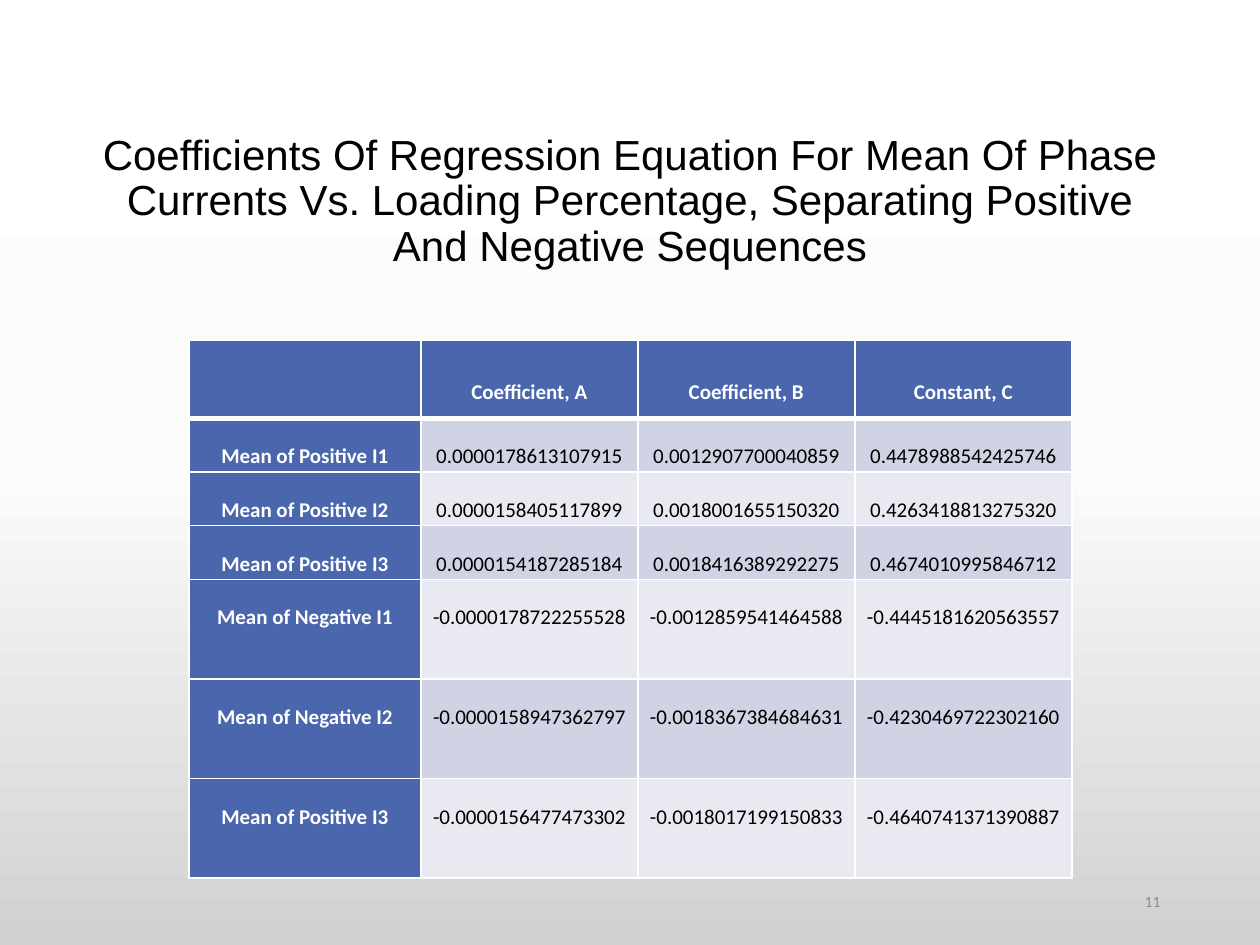
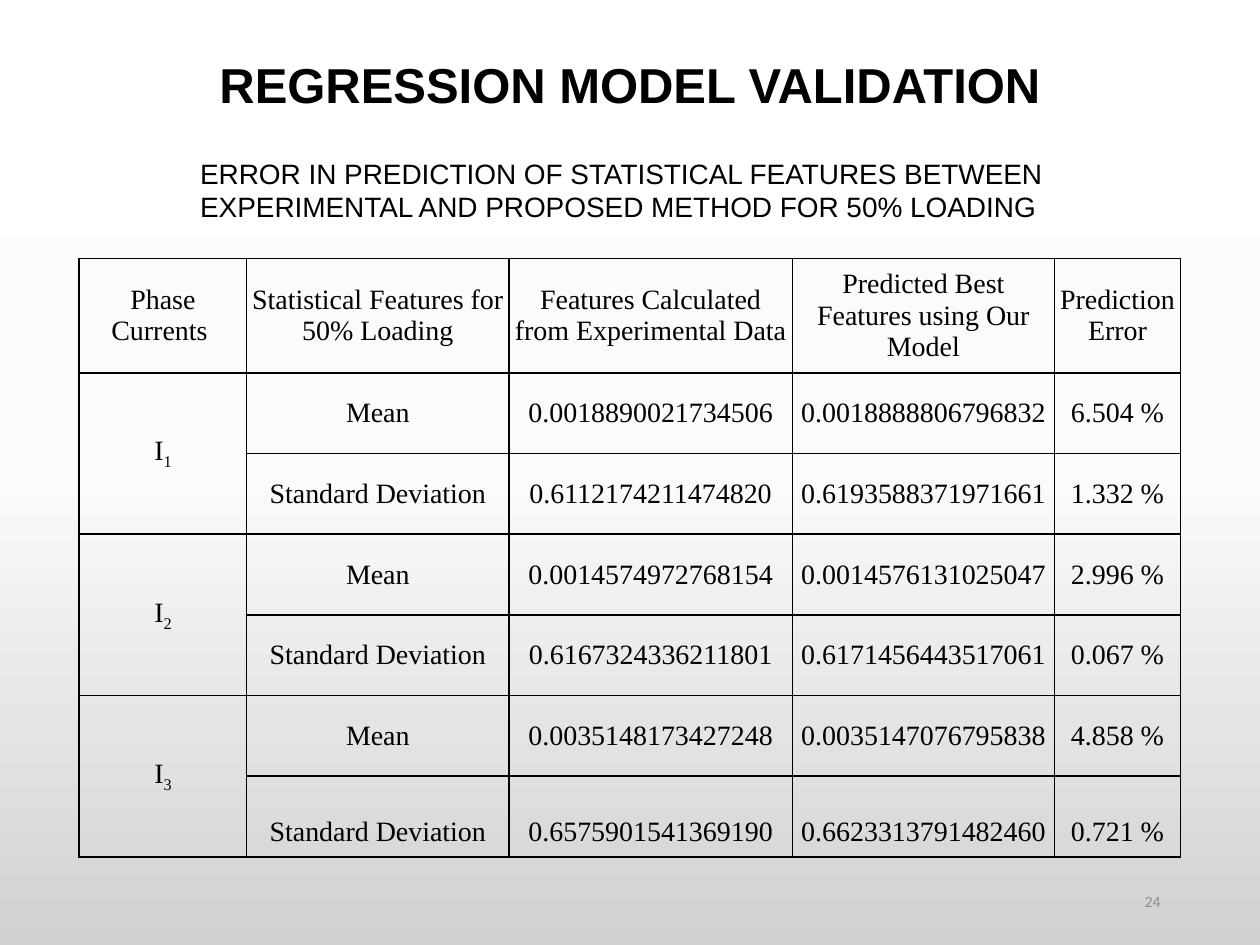
"""Build two slides of regression tables on a shared grey gradient."""
import copy

import pptx
import pptx.dml.color
import pptx.enum.text
import pptx.oxml
import pptx.oxml.ns
import pptx.util

Pt = pptx.util.Pt
ALIGN = pptx.enum.text.PP_ALIGN
ANCHOR = pptx.enum.text.MSO_ANCHOR

BLUE, WHITE, BLACK, GREY = "4A66AC", "FFFFFF", "000000", "8C8C8C"
BANDS = "D0D3E3", "E9EAF1"
STOPS = (0, "FFFFFF"), (0.5, "FBFBFB"), (1, "D1D1D1")
PAGE = 508.3, 500.4, 162, 28.8

COEFS = {
    "title": "Coefficients Of Regression Equation For Mean Of Phase Currents Vs. "
             "Loading Percentage, Separating Positive And Negative Sequences",
    "top": 63.4, "font": {"size": 24, "bold": False}, "page": "11",
    "place": (108, 194.4),
    "cols": [132.5] + [124] * 3,
    "heights": [44.6] + [30.7] * 3 + [56.9] * 3,
    "rows": [
        ("", "Coefficient, A", "Coefficient, B", "Constant, C"),
        ("Mean of Positive I1", "0.0000178613107915", "0.0012907700040859", "0.4478988542425746"),
        ("Mean of Positive I2", "0.0000158405117899", "0.0018001655150320", "0.4263418813275320"),
        ("Mean of Positive I3", "0.0000154187285184", "0.0018416389292275", "0.4674010995846712"),
        ("Mean of Negative I1", "-0.0000178722255528", "-0.0012859541464588", "-0.4445181620563557"),
        ("Mean of Negative I2", "-0.0000158947362797", "-0.0018367384684631", "-0.4230469722302160"),
        ("Mean of Positive I3", "-0.0000156477473302", "-0.0018017199150833", "-0.4640741371390887"),
    ],
}
ERRORS = {
    "title": "REGRESSION MODEL VALIDATION",
    "top": -2.2, "font": {"size": 28, "bold": True}, "page": "24",
    "place": (45.2, 147.6),
    "cols": [95.8, 149.8, 162, 149.8, 72],
    "heights": [65.5] + [46.1] * 6,
    "rows": [
        ("Phase Currents ", "Statistical Features for 50% Loading",
         "Features Calculated from Experimental Data",
         "Predicted Best Features using Our Model", "Prediction Error"),
        ("I1", "Mean", "0.0018890021734506", "0.0018888806796832", "6.504 %"),
        ("", "Standard Deviation", "0.6112174211474820", "0.6193588371971661", "1.332 %"),
        ("I2", "Mean", "0.0014574972768154", "0.0014576131025047", "2.996 %"),
        ("", "Standard Deviation", "0.6167324336211801", "0.6171456443517061", "0.067 %"),
        ("I3", "Mean", "0.0035148173427248", "0.0035147076795838", "4.858 %"),
        ("", "Standard Deviation", "0.6575901541369190", "0.6623313791482460", "0.721 %"),
    ],
}
NOTE = ("ERROR IN PREDICTION OF STATISTICAL FEATURES BETWEEN",
        "EXPERIMENTAL AND PROPOSED METHOD FOR 50% LOADING")


def tint(code):
    return pptx.dml.color.RGBColor.from_string(code)


def apply(item, values):
    for name, value in values.items():
        setattr(item, name, value)


def write(para, text, font, align=ALIGN.CENTER, space=None):
    run = para.add_run()
    run.text = text
    look = {"name": "Arial", "bold": False, "color": BLACK, **font}
    run.font.color.rgb = tint(look.pop("color"))
    apply(run.font, {**look, "size": Pt(look["size"])})
    apply(para, {"alignment": align, "line_spacing": space})
    return run


def paint(master):
    fill = master.background.fill
    fill.gradient()
    fill.gradient_angle = 270
    stops = master.element.find(".//" + pptx.oxml.ns.qn("a:gsLst"))
    stops.insert(1, copy.deepcopy(stops[0]))
    for stop, (place, code) in zip(fill.gradient_stops, STOPS):
        stop.color.rgb = tint(code)
        stop.position = place


def add_box(slide, spot, lines, font, align, anchor):
    frame = slide.shapes.add_textbox(*map(Pt, spot)).text_frame
    apply(frame, {"word_wrap": True, "vertical_anchor": anchor})
    for pos, line in enumerate(lines):
        para = frame.add_paragraph() if pos else frame.paragraphs[0]
        write(para, line, font, align)


def start(deck, data):
    slide = deck.slides.add_slide(deck.slide_layouts[5])
    title = slide.shapes.title
    apply(title, {"left": Pt(49.7), "top": Pt(data["top"]),
                  "width": Pt(620.6), "height": Pt(104.4)})
    apply(title.text_frame, {"vertical_anchor": ANCHOR.MIDDLE, "word_wrap": True,
                             "auto_size": pptx.enum.text.MSO_AUTO_SIZE.NONE})
    write(title.text_frame.paragraphs[0], data["title"], data["font"], space=0.9)
    add_box(slide, PAGE, [data["page"]], {"size": 9, "name": "Calibri", "color": GREY},
            ALIGN.RIGHT, ANCHOR.MIDDLE)
    return slide


def edge(cell, code, **wide):
    props = cell._tc.get_or_add_tcPr()
    for side in "LRTB":
        props.append(pptx.oxml.parse_xml(
            f'<a:ln{side} {pptx.oxml.ns.nsdecls("a")} w="{Pt(wide.get(side, 1))}">'
            f'<a:solidFill><a:srgbClr val="{code}"/></a:solidFill></a:ln{side}>'))


def add_grid(slide, data, style):
    rows, cols, tall = data["rows"], data["cols"], data["heights"]
    spot = *data["place"], sum(cols), sum(tall)
    grid = slide.shapes.add_table(len(rows), len(cols), *map(Pt, spot)).table
    apply(grid, {"first_row": False, "horz_banding": False})
    for col, wide in zip(grid.columns, cols):
        col.width = Pt(wide)
    for row, high in zip(grid.rows, tall):
        row.height = Pt(high)
    for down, row in enumerate(rows):
        for over, text in enumerate(row):
            style(grid.cell(down, over), down, over, text)
    return grid


def pad(cell, side, anchor):
    apply(cell, {"margin_left": Pt(side), "margin_right": Pt(side), "margin_top": 0,
                 "margin_bottom": 0, "vertical_anchor": anchor})


def coef(cell, down, over, text):
    head = down == 0 or over == 0
    pad(cell, 5, ANCHOR.TOP if down else ANCHOR.MIDDLE)
    edge(cell, WHITE, T=3 if down == 1 else 1, B=1 if down else 3)
    cell.fill.solid()
    cell.fill.fore_color.rgb = tint(BLUE if head else BANDS[(down - 1) % 2])
    if text:
        font = {"size": 12, "name": "Calibri", "bold": head, "color": WHITE if head else BLACK}
        write(cell.text_frame.paragraphs[0], text, font, space=2)


def error(cell, down, over, text):
    pad(cell, 0.7, ANCHOR.MIDDLE)
    edge(cell, BLACK)
    cell.fill.background()
    if not text:
        return
    para, font = cell.text_frame.paragraphs[0], {"size": 16, "name": "Times New Roman"}
    phase = down and over == 0
    last = down == len(ERRORS["rows"]) - 1
    write(para, text[0] if phase else text, font, space=2 if last else None)
    if phase:
        low = write(para, text[1], font)
        low._r.get_or_add_rPr().set("baseline", "-25000")


def main():
    deck = pptx.Presentation()
    apply(deck, {"slide_width": Pt(720), "slide_height": Pt(540)})
    paint(deck.slide_master)
    add_grid(start(deck, COEFS), COEFS, coef)
    slide = start(deck, ERRORS)
    grid = add_grid(slide, ERRORS, error)
    for down in range(1, len(ERRORS["rows"]), 2):
        grid.cell(down, 0).merge(grid.cell(down + 1, 0))
    add_box(slide, (107.3, 85.7, 506.2, 46.1), NOTE, {"size": 16}, ALIGN.LEFT, ANCHOR.TOP)
    deck.save("out.pptx")


if __name__ == "__main__":
    main()
